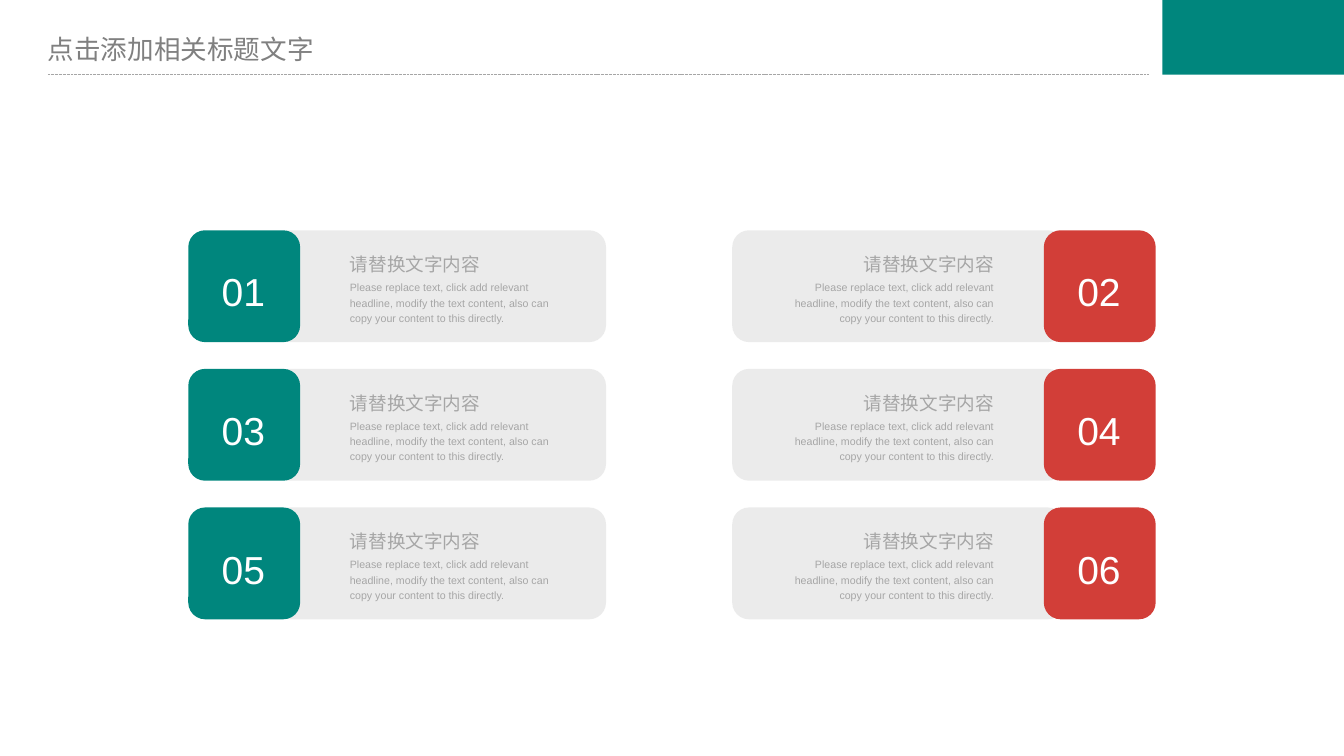
from dataclasses import dataclass

from lxml.etree import SubElement
from pptx import Presentation
from pptx.dml.color import RGBColor
from pptx.enum.dml import MSO_LINE
from pptx.enum.shapes import MSO_CONNECTOR, MSO_SHAPE
from pptx.enum.text import MSO_ANCHOR, MSO_AUTO_SIZE, PP_ALIGN
from pptx.oxml.ns import qn
from pptx.util import Inches, Pt


@dataclass(frozen=True)
class Theme:
    teal: str = "00867D"
    red: str = "D23E38"
    panel: str = "777777"
    panel_alpha: int = 14
    title: str = "808080"
    muted: str = "A6A6A6"
    white: str = "FFFFFF"
    latin: str = "Arial"
    cjk: str = "Noto Sans CJK SC"
    title_size: float = 20
    number_size: float = 29.4
    heading_size: float = 14
    body_size: float = 8
    rule_width: float = 0.25


@dataclass(frozen=True)
class Box:
    x: float
    y: float
    w: float
    h: float

    def emu(self):
        return [Inches(v) for v in (self.x, self.y, self.w, self.h)]


THEME = Theme()
HEADING = "请替换文字内容"
BODY = ("Please replace text, click add relevant headline, modify the text "
        "content, also can copy your content to this directly.")
CARD_H = 1.17
PANEL_W = 3.48
TEXT_INSET = 1.69
ROW_TOP = 2.41
ROW_PITCH = 1.45


def apply(target, values):
    for name, value in values.items():
        setattr(target, name, value)


def add_block(slide, kind, box, color, alpha=None):
    sp = slide.shapes.add_shape(kind, *box.emu())
    sp.shadow.inherit = False
    sp.fill.solid()
    sp.fill.fore_color.rgb = RGBColor.from_string(color)
    sp.line.fill.background()
    if kind == MSO_SHAPE.ROUNDED_RECTANGLE:
        sp.adjustments[0] = 0.15
    if alpha is not None:
        clr = sp.fill._xPr.find(qn("a:solidFill"))[0]
        SubElement(clr, qn("a:alpha"), val=str(alpha * 1000))


def add_text(slide, box, text, size, color, font=THEME.latin, frame=None, para=None):
    tf = slide.shapes.add_textbox(*box.emu()).text_frame
    margins = dict.fromkeys(
        ("margin_left", "margin_top", "margin_right", "margin_bottom"), 0)
    apply(tf, {**margins, "word_wrap": True, "vertical_anchor": MSO_ANCHOR.MIDDLE,
               "auto_size": MSO_AUTO_SIZE.SHAPE_TO_FIT_TEXT, **(frame or {})})
    p = tf.paragraphs[0]
    apply(p, {"line_spacing": 1.2, **(para or {})})
    r = p.add_run()
    r.text = text
    apply(r.font, {"size": Pt(size), "name": font})
    r.font.color.rgb = RGBColor.from_string(color)
    SubElement(r.font._element, qn("a:ea"), typeface=font)


def add_header(slide, box):
    corner_w = 1.9
    corner = Box(box.x + box.w - corner_w, box.y, corner_w, box.h)
    rule = slide.shapes.add_connector(
        MSO_CONNECTOR.STRAIGHT, Inches(box.x + 0.5), Inches(box.y + box.h),
        Inches(corner.x - 0.14), Inches(box.y + box.h))
    apply(rule.line, {"width": Pt(THEME.rule_width),
                      "dash_style": MSO_LINE.SQUARE_DOT})
    rule.line.color.rgb = RGBColor.from_string(THEME.muted)
    SubElement(rule._element.spPr, qn("a:effectLst"))
    add_block(slide, MSO_SHAPE.RECTANGLE, corner, THEME.teal)
    add_text(slide, Box(box.x + 0.5, box.y + 0.34, 3.15, 0.36),
             "点击添加相关标题文字", THEME.title_size, THEME.title, THEME.cjk,
             {"vertical_anchor": MSO_ANCHOR.TOP, "auto_size": MSO_AUTO_SIZE.NONE},
             {"line_spacing": 1.0, "space_after": Pt(6)})


def add_card(slide, box, number, color, mirrored):
    right = box.x + box.w
    panel_x = box.x if mirrored else right - PANEL_W
    badge_x = right - box.h if mirrored else box.x
    rounded = MSO_SHAPE.ROUNDED_RECTANGLE
    add_block(slide, rounded, Box(panel_x, box.y, PANEL_W, box.h),
              THEME.panel, THEME.panel_alpha)
    add_block(slide, rounded, Box(badge_x, box.y, box.h, box.h), color)
    add_text(slide, Box(badge_x + 0.35, box.y + 0.32, 0.46, 0.54), f"{number:02d}",
             THEME.number_size, THEME.white, frame={"word_wrap": False})
    align = PP_ALIGN.RIGHT if mirrored else PP_ALIGN.LEFT
    for text, size, top, w, h in (
            (HEADING, THEME.heading_size, 0.2, 1.64, 0.26),
            (BODY, THEME.body_size, 0.51, 2.1, 0.47)):
        x = right - TEXT_INSET - w if mirrored else box.x + TEXT_INSET
        add_text(slide, Box(x, box.y + top, w, h), text, size, THEME.muted,
                 para={"alignment": align})


def main():
    prs = Presentation()
    apply(prs, {"slide_width": Inches(14.06), "slide_height": Inches(7.91)})
    slide = prs.slides.add_slide(prs.slide_layouts[6])
    add_header(slide, Box(0, 0, 14.06, 0.78))
    columns = ((1.97, 4.37, THEME.teal, False), (7.66, 4.43, THEME.red, True))
    for col, (x, w, color, mirrored) in enumerate(columns):
        for row in range(3):
            box = Box(x, ROW_TOP + row * ROW_PITCH, w, CARD_H)
            add_card(slide, box, 2 * row + col + 1, color, mirrored)
    prs.save("out.pptx")


if __name__ == "__main__":
    main()
